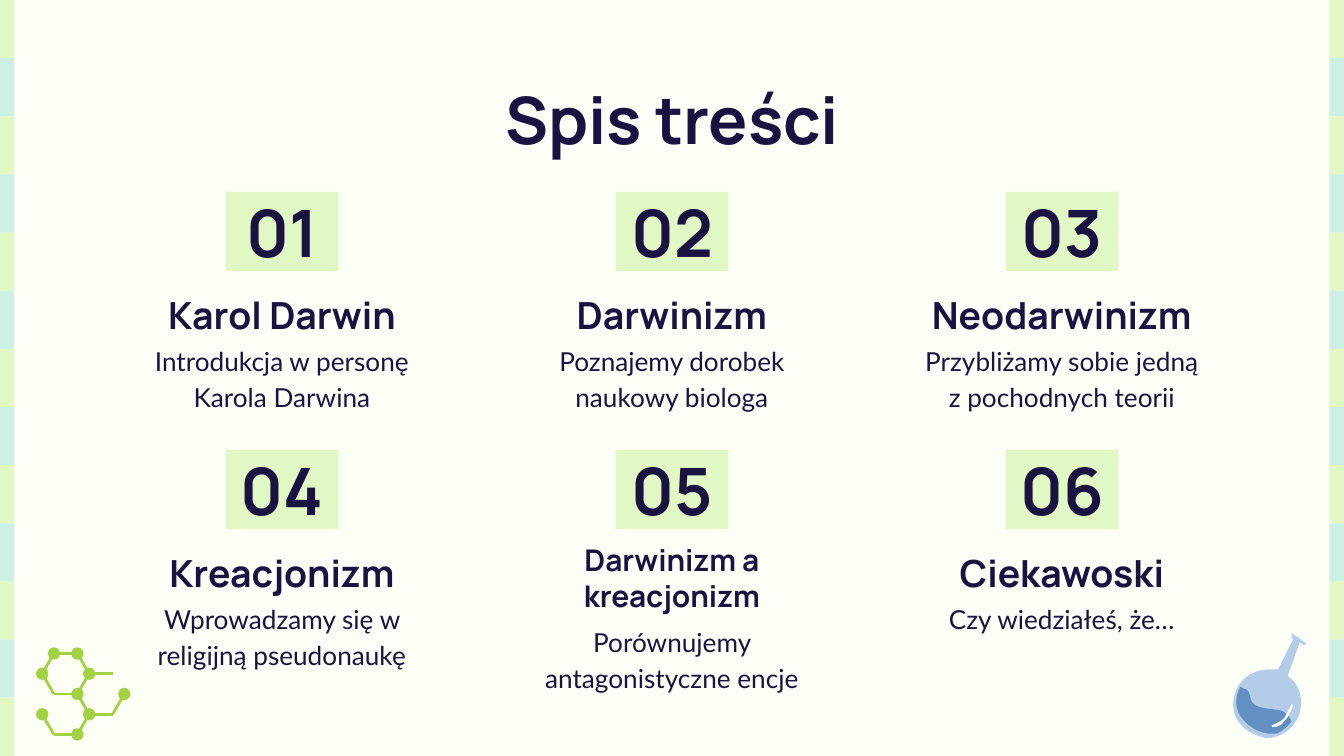
from dataclasses import dataclass

from lxml import etree
from pptx import Presentation
from pptx.dml.color import RGBColor
from pptx.enum.shapes import MSO_CONNECTOR, MSO_SHAPE
from pptx.enum.text import MSO_ANCHOR, PP_ALIGN
from pptx.oxml.ns import qn
from pptx.util import Pt

RECT, OVAL = MSO_SHAPE.RECTANGLE, MSO_SHAPE.OVAL
LINE = MSO_CONNECTOR.STRAIGHT
TOP, MID, LOW = MSO_ANCHOR.TOP, MSO_ANCHOR.MIDDLE, MSO_ANCHOR.BOTTOM
CENTER = PP_ALIGN.CENTER


@dataclass(frozen=True)
class Theme:
    back: str = "FBFFF6"
    ink: str = "1A1241"
    lime: str = "E1F7C4"
    mint: str = "CDF0E4"
    leaf: str = "A2D141"
    glass: str = "B3CDE9"
    fluid: str = "6290C2"
    shine: str = "FFFFFF"
    head: str = "Manrope"
    body: str = "Lato"
    big: float = 35
    mid: float = 20
    small: float = 16
    text: float = 14


THEME = Theme()
WIDE, HIGH = 720, 405

# Number, heading, body lines, whether the heading takes two lines
TOPICS = [
    ("01", "Karol Darwin", ["Introdukcja w personę Karola Darwina"], False),
    ("02", "Darwinizm", ["Poznajemy dorobek naukowy biologa"], False),
    ("03", "Neodarwinizm", ["Przybliżamy sobie jedną", "z pochodnych teorii"], False),
    ("04", "Kreacjonizm", ["Wprowadzamy się w religijną pseudonaukę"], False),
    ("05", "Darwinizm a kreacjonizm", ["Porównujemy antagonistyczne encje"], True),
    ("06", "Ciekawoski", ["Czy wiedziałeś, że…"], False),
]

# Molecule on a grid of 7 columns by 4 rows
CHAINS = [
    [(1, 0), (3, 0), (4, 1), (3, 2), (1, 2), (0, 1), (1, 0)],
    [(3, 2), (4, 3), (3, 4), (1, 4), (0, 3)],
    [(6, 1), (4, 1)],
    [(4, 3), (6, 3), (7, 2)],
]
ATOMS = [(1, 0), (3, 0), (0, 1), (4, 1), (3, 2), (7, 2), (0, 3), (4, 3), (3, 4)]

# Flask on a grid of 60 by 78: pairs are lines, sixes are Bézier curves
FLASK = [
    (THEME.glass, [
        (48, 0), (59, 8), (57, 9), (54, 7), (45, 32),
        (45, 32, 56, 38, 55, 54), (54, 67, 43, 78, 30, 78),
        (27, 78, 25, 77, 22, 76), (6, 70, 0, 55, 8, 40),
        (14, 29, 26, 27, 33, 27), (36, 27, 38, 27, 38, 27),
        (49, 5), (48, 3)]),
    (THEME.fluid, [
        (10, 40), (10, 40, 11, 41, 14, 42), (18, 44, 16, 48, 19, 52),
        (23, 56, 28, 56, 36, 57), (45, 57, 48, 66, 48, 66),
        (48, 66, 41, 74, 36, 75), (35, 75, 34, 75, 33, 75),
        (27, 75, 17, 72, 10, 62), (3, 51, 10, 40, 10, 40)]),
    (THEME.shine, [
        (48, 53), (49, 54), (49, 54, 47, 61, 43, 65),
        (40, 70, 35, 70, 34, 70), (33, 69),
        (33, 69, 40, 66, 42, 64), (43, 63, 48, 53, 48, 53)]),
]


def color(code):
    return RGBColor.from_string(code)


def paint(shape, code):
    shape.shadow.inherit = False
    shape.fill.solid()
    shape.fill.fore_color.rgb = color(code)
    shape.line.fill.background()


def block(slide, kind, box, code):
    shape = slide.shapes.add_shape(kind, *map(Pt, box))
    paint(shape, code)
    return shape


def write(shape, lines, font=THEME.head, size=THEME.big, bold=True,
          anchor=TOP, space=None):
    frame = shape.text_frame
    frame.word_wrap = True
    frame.vertical_anchor = anchor
    frame.margin_left = frame.margin_right = Pt(7.2)
    frame.margin_top = frame.margin_bottom = Pt(7.2)
    frame.text = "\n".join(lines)
    for para in frame.paragraphs:
        para.alignment = CENTER
        para.space_before = Pt(0)
        para.line_spacing = space
        para.font.name = font
        para.font.size = Pt(size)
        para.font.bold = bold
        para.font.color.rgb = color(THEME.ink)


def label(slide, box, lines, **style):
    write(slide.shapes.add_textbox(*map(Pt, box)), lines, **style)


def stripes(slide, box, count=13):
    left, top, width, height = box
    step = height / count
    for i in range(count):
        code = THEME.mint if i % 2 else THEME.lime
        block(slide, RECT, (left, top + i * step, width, step), code)


def bonds(slide, box):
    """Draw the molecule with its grid filling the box."""
    left, top, width, height = box

    def spot(col, row):
        return left + col * width / 7, top + row * height / 4

    for chain in CHAINS:
        for start, end in zip(chain, chain[1:]):
            ends = map(Pt, spot(*start) + spot(*end))
            line = slide.shapes.add_connector(LINE, *ends)
            line.line.color.rgb = color(THEME.leaf)
            line.line.width = Pt(1.5)
            etree.SubElement(line._element.spPr, qn("a:effectLst"))
    size = 6.6
    for atom in ATOMS:
        x, y = spot(*atom)
        block(slide, OVAL, (x - size / 2, y - size / 2, size, size), THEME.leaf)


def trace(route, steps=10):
    """Turn lines and cubic curves into a list of points."""
    points = [route[0]]
    for part in route[1:]:
        if len(part) == 2:
            points.append(part)
            continue
        ax, ay = points[-1]
        bx, by, cx, cy, dx, dy = part
        for i in range(1, steps + 1):
            t = i / steps
            u = 1 - t
            k = u ** 3, 3 * u * u * t, 3 * u * t * t, t ** 3
            points.append((k[0] * ax + k[1] * bx + k[2] * cx + k[3] * dx,
                           k[0] * ay + k[1] * by + k[2] * cy + k[3] * dy))
    return points


def flask(slide, box):
    left, top, width, height = box
    for code, route in FLASK:
        points = [(Pt(left + x * width / 60), Pt(top + y * height / 78))
                  for x, y in trace(route)]
        pen = slide.shapes.build_freeform(*points[0])
        pen.add_line_segments(points[1:], close=True)
        paint(pen.convert_to_shape(), code)


def topic(slide, box, number, title, lines, double):
    left, top, width = box
    tile = block(slide, RECT, (left + (width - 60.4) / 2, top, 60.4, 42.4), THEME.lime)
    write(tile, [number], anchor=MID)
    size, drop, fall = (THEME.small, 52.5, 85) if double else (THEME.mid, 42.4, 72.7)
    label(slide, (left, top + drop, width, 42.4), [title], size=size, anchor=LOW)
    label(slide, (left, top + fall, width, 45.4), lines, font=THEME.body,
          size=THEME.text, bold=False, space=1.15)


def topics(slide, box):
    left, top, width, pitch = box
    gap = 20.1
    cell = (width - 2 * gap) / 3
    for i, item in enumerate(TOPICS):
        row, col = divmod(i, 3)
        spot = left + col * (cell + gap), top + row * pitch, cell
        topic(slide, spot, *item)


def header(slide, box, text):
    title = slide.shapes.title
    title.left, title.top, title.width, title.height = map(Pt, box)
    write(title, [text])


def main():
    deck = Presentation()
    deck.slide_width, deck.slide_height = Pt(WIDE), Pt(HIGH)
    slide = deck.slides.add_slide(deck.slide_layouts[5])
    slide.background.fill.solid()
    slide.background.fill.fore_color.rgb = color(THEME.back)
    edge = 7.8
    for left in (0, WIDE - edge):
        stripes(slide, (left, 0, edge, HIGH))
    bonds(slide, (22.6, 350.1, 44, 43.4))
    flask(slide, (657.4, 339.1, 43.2, 56.2))
    header(slide, (56.7, 35, 606.6, 45.1), "Spis treści")
    topics(slide, (56.7, 102.8, 606.6, 138.3))
    deck.save("out.pptx")


if __name__ == "__main__":
    main()
